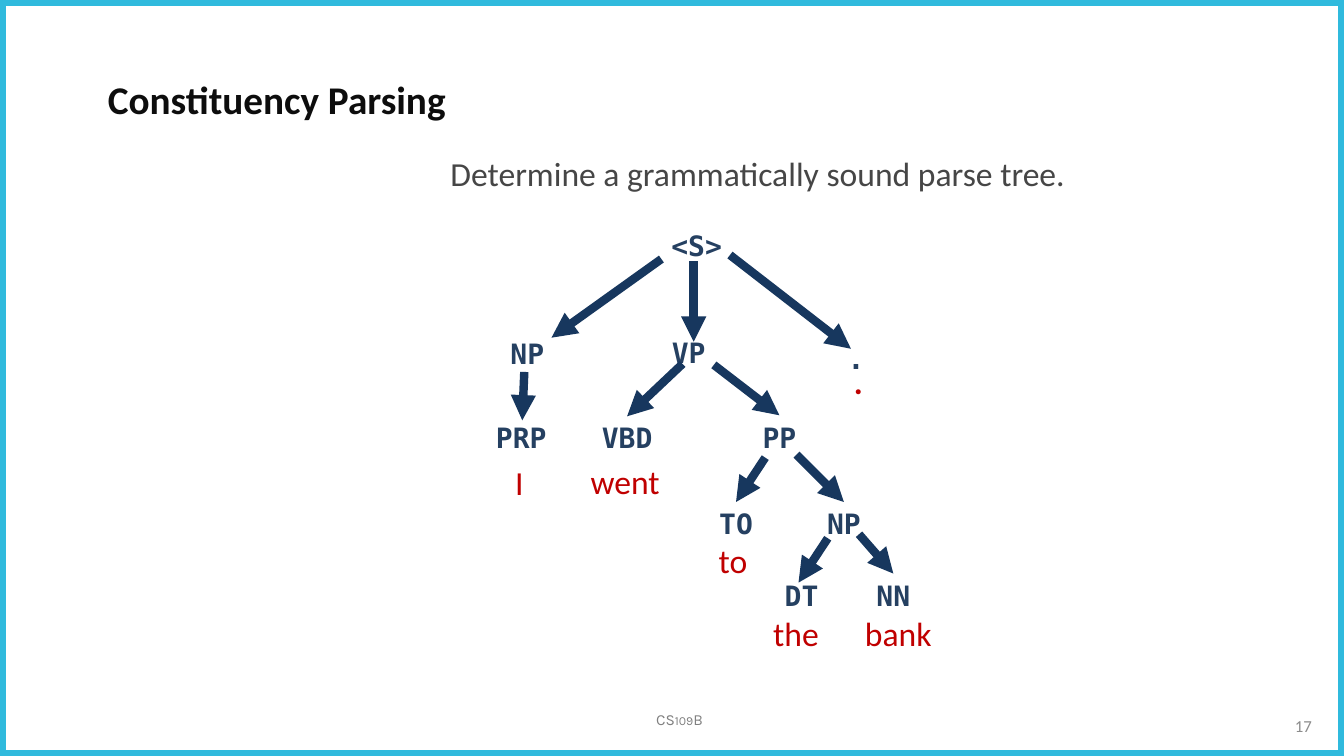
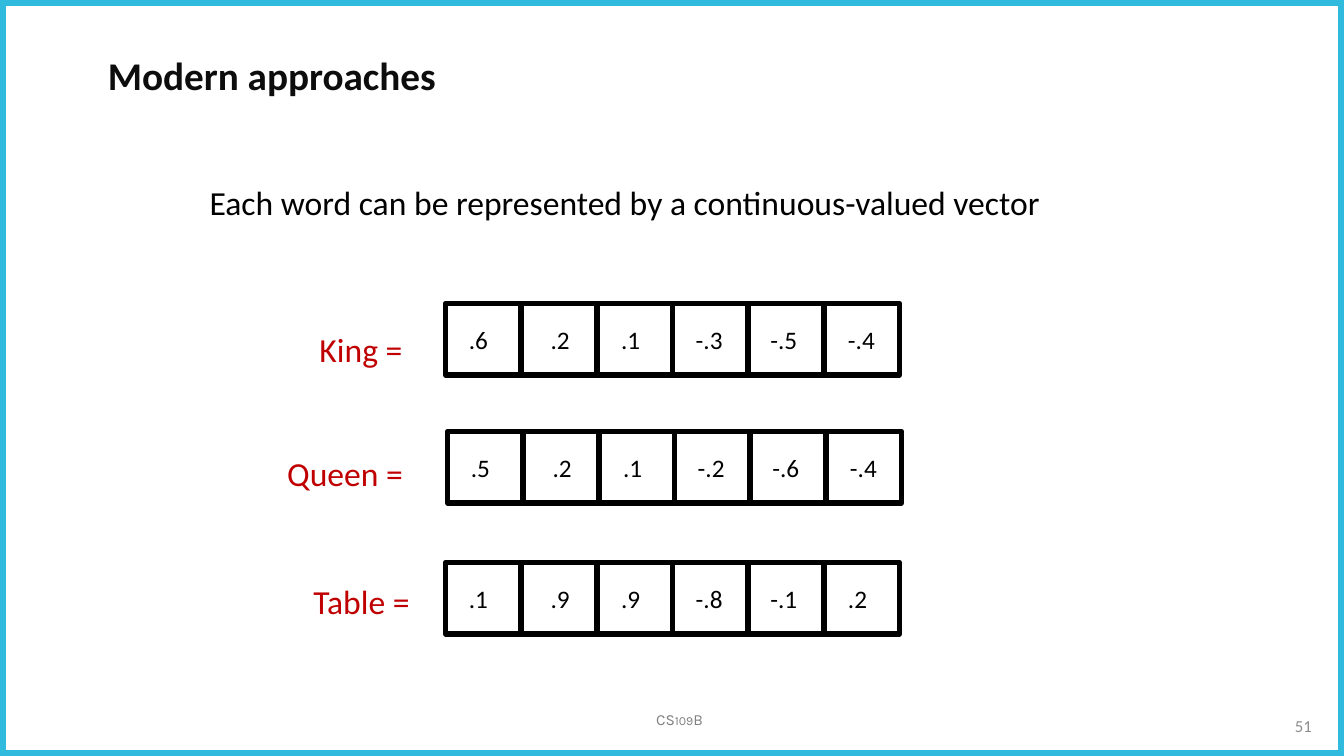
from dataclasses import dataclass
from typing import Optional

import lxml.etree
import pptx
import pptx.dml.color
import pptx.enum.shapes
import pptx.enum.text
import pptx.oxml.ns
import pptx.presentation
import pptx.shapes.base
import pptx.slide
import pptx.text.text
import pptx.util

Inches = pptx.util.Inches
Align = pptx.enum.text.PP_ALIGN
Anchor = pptx.enum.text.MSO_ANCHOR

SLIDE_WIDTH, SLIDE_HEIGHT = 13.33, 7.5
TITLE_LEFT = 0.97
TAG_WIDTH, TAG_HEIGHT = 1.25, 0.6
CELL_WIDTH, CELL_HEIGHT = 0.75, 0.71
CELL_INSETS = (0.23, 0.29, 0.24, 0.23, 0.22, 0.24)

FRAME = "30BADD"
INK = "0D0D0D"
BODY = "464646"
BLACK = "000000"
RED = "C00000"
TAG = "254061"
ARROW = "17375E"
FOOTER = "808080"
NUMBER = "8C8C8C"


@dataclass(frozen=True)
class TextStyle:
    size: float
    color: str
    name: str = "Calibri"
    bold: bool = False
    align: Align = Align.LEFT
    anchor: Anchor = Anchor.TOP
    spacing: float = 1.0


TITLE_STYLE = TextStyle(28, INK, bold=True)
FOOTER_STYLE = TextStyle(11, FOOTER, "Karla", align=Align.CENTER)
NUMBER_STYLE = TextStyle(12, NUMBER, align=Align.RIGHT, anchor=Anchor.MIDDLE)
LEAD_STYLE = TextStyle(24, BODY, align=Align.CENTER)
TAG_STYLE = TextStyle(20, TAG, "DejaVu Sans Mono", True, Align.CENTER)
WORD_STYLE = TextStyle(24, RED)
STOP_STYLE = TextStyle(24, RED, bold=True)
STATEMENT_STYLE = TextStyle(24, BLACK, spacing=1.5)
LABEL_STYLE = TextStyle(24, RED, spacing=1.5)
CELL_STYLE = TextStyle(18, BLACK, anchor=Anchor.MIDDLE)


@dataclass(frozen=True)
class Word:
    text: str
    left: float
    top: float
    style: TextStyle = WORD_STYLE


@dataclass(frozen=True)
class Node:
    tag: str
    center: float
    top: float
    word: Optional[Word] = None


@dataclass(frozen=True)
class Branch:
    x1: float
    y1: float
    x2: float
    y2: float


@dataclass(frozen=True)
class Vector:
    label: str
    label_left: float
    label_top: float
    left: float
    top: float
    values: tuple[str, ...]


NODES = (
    Node("<S>", 6.91, 2.22),
    Node("NP", 5.23, 3.29),
    Node("VP", 6.83, 3.28),
    Node(".", 8.49, 3.34, Word(".", 8.37, 3.53, STOP_STYLE)),
    Node("PRP", 5.17, 4.12, Word("I", 5.01, 4.53)),
    Node("VBD", 6.22, 4.12, Word("went", 5.76, 4.52)),
    Node("PP", 7.73, 4.12),
    Node("TO", 7.3, 4.98, Word("to", 7.03, 5.31)),
    Node("NP", 8.37, 4.98),
    Node("DT", 7.95, 5.69, Word("the", 7.57, 6.03)),
    Node("NN", 8.86, 5.69, Word("bank", 8.48, 6.03)),
)

BRANCHES = (
    Branch(6.56, 2.57, 5.47, 3.35),
    Branch(6.88, 2.59, 6.88, 3.39),
    Branch(7.24, 2.53, 8.44, 3.46),
    Branch(5.2, 3.69, 5.18, 4.17),
    Branch(6.77, 3.61, 6.22, 4.13),
    Branch(7.08, 3.62, 7.73, 4.12),
    Branch(7.59, 4.54, 7.3, 4.98),
    Branch(7.9, 4.51, 8.37, 4.98),
    Branch(8.21, 5.34, 7.92, 5.78),
    Branch(8.52, 5.3, 8.86, 5.69),
)

VECTORS = (
    Vector("King =", 3.07, 3.01, 4.42, 3.01, (".6", ".2", ".1", "-.3", "-.5", "-.4")),
    Vector("Queen =", 2.75, 4.24, 4.44, 4.28, (".5", ".2", ".1", "-.2", "-.6", "-.4")),
    Vector("Table =", 3.01, 5.51, 4.42, 5.58, (".1", ".9", ".9", "-.8", "-.1", ".2")),
)


def rgb(value: str) -> pptx.dml.color.RGBColor:
    return pptx.dml.color.RGBColor.from_string(value)


def write(shape: pptx.shapes.base.BaseShape, text: str, style: TextStyle) -> pptx.text.text._Paragraph:
    frame = shape.text_frame
    frame.text = text
    frame.word_wrap = True
    frame.auto_size = pptx.enum.text.MSO_AUTO_SIZE.NONE
    frame.vertical_anchor = style.anchor
    para = frame.paragraphs[0]
    para.alignment = style.align
    para.line_spacing = style.spacing
    para.font.name = style.name
    para.font.size = pptx.util.Pt(style.size)
    para.font.bold = style.bold
    para.font.color.rgb = rgb(style.color)
    return para


def add_text(page: pptx.slide.Slide, text: str, left: float, top: float,
             width: float, height: float, style: TextStyle) -> pptx.text.text._Paragraph:
    box = page.shapes.add_textbox(Inches(left), Inches(top), Inches(width), Inches(height))
    return write(box, text, style)


def add_outline(page: pptx.slide.Slide, left: float, top: float, width: float,
                height: float, color: str, weight: float) -> pptx.shapes.base.BaseShape:
    box = page.shapes.add_shape(pptx.enum.shapes.MSO_SHAPE.RECTANGLE, Inches(left),
                                Inches(top), Inches(width), Inches(height))
    box.shadow.inherit = False
    box.fill.background()
    box.line.color.rgb = rgb(color)
    box.line.width = pptx.util.Pt(weight)
    return box


def add_arrow(page: pptx.slide.Slide, branch: Branch) -> None:
    arrow = page.shapes.add_connector(
        pptx.enum.shapes.MSO_CONNECTOR.STRAIGHT, Inches(branch.x1), Inches(branch.y1),
        Inches(branch.x2), Inches(branch.y2))
    arrow.line.color.rgb = rgb(ARROW)
    arrow.line.width = pptx.util.Pt(6)
    qn = pptx.oxml.ns.qn
    properties = arrow._element.spPr
    lxml.etree.SubElement(properties.find(qn("a:ln")), qn("a:tailEnd"), type="triangle")
    lxml.etree.SubElement(properties, qn("a:effectLst"))


def add_page(deck: pptx.presentation.Presentation, title: str, title_top: float,
             number: int) -> pptx.slide.Slide:
    page = deck.slides.add_slide(deck.slide_layouts.get_by_name("Title Only"))
    add_outline(page, 0, 0, SLIDE_WIDTH, SLIDE_HEIGHT, FRAME, 8)
    footer = add_text(page, "CS109B", 6.24, 7, 1, 0.29, FOOTER_STYLE)
    footer.runs[0]._r.get_or_add_rPr().set("cap", "small")
    add_text(page, str(number), 10, 7, 3.11, 0.4, NUMBER_STYLE)
    heading = page.shapes.title
    heading.left, heading.top = Inches(TITLE_LEFT), Inches(title_top)
    heading.width, heading.height = Inches(8.37), Inches(0.6)
    write(heading, title, TITLE_STYLE)
    return page


def add_node(page: pptx.slide.Slide, node: Node) -> None:
    add_text(page, node.tag, node.center - TAG_WIDTH / 2, node.top,
             TAG_WIDTH, TAG_HEIGHT, TAG_STYLE)
    if node.word:
        add_text(page, node.word.text, node.word.left, node.word.top, 1.45, 0.5, node.word.style)


def add_vector(page: pptx.slide.Slide, vector: Vector) -> None:
    add_text(page, vector.label, vector.label_left, vector.label_top, 1.35, 0.75, LABEL_STYLE)
    for column, (value, inset) in enumerate(zip(vector.values, CELL_INSETS)):
        cell = add_outline(page, vector.left + column * CELL_WIDTH, vector.top,
                           CELL_WIDTH, CELL_HEIGHT, BLACK, 4)
        write(cell, value, CELL_STYLE)
        cell.text_frame.margin_left = Inches(inset)
        cell.text_frame.margin_right = 0


def add_tree_page(deck: pptx.presentation.Presentation) -> None:
    page = add_page(deck, "Constituency Parsing", 0.7, 17)
    add_text(page, "Determine a grammatically sound parse tree.", 2.7, 1.47, 9.63, 0.62, LEAD_STYLE)
    for node in NODES:
        add_node(page, node)
    for branch in BRANCHES:
        add_arrow(page, branch)


def add_vector_page(deck: pptx.presentation.Presentation) -> None:
    page = add_page(deck, "Modern approaches", 0.46, 51)
    add_text(page, "Each word can be represented by a continuous-valued vector",
             1.98, 1.56, 9.58, 0.75, STATEMENT_STYLE)
    for vector in VECTORS:
        add_vector(page, vector)


def main() -> None:
    deck = pptx.Presentation()
    deck.slide_width, deck.slide_height = Inches(SLIDE_WIDTH), Inches(SLIDE_HEIGHT)
    add_tree_page(deck)
    add_vector_page(deck)
    deck.save("out.pptx")


if __name__ == "__main__":
    main()
